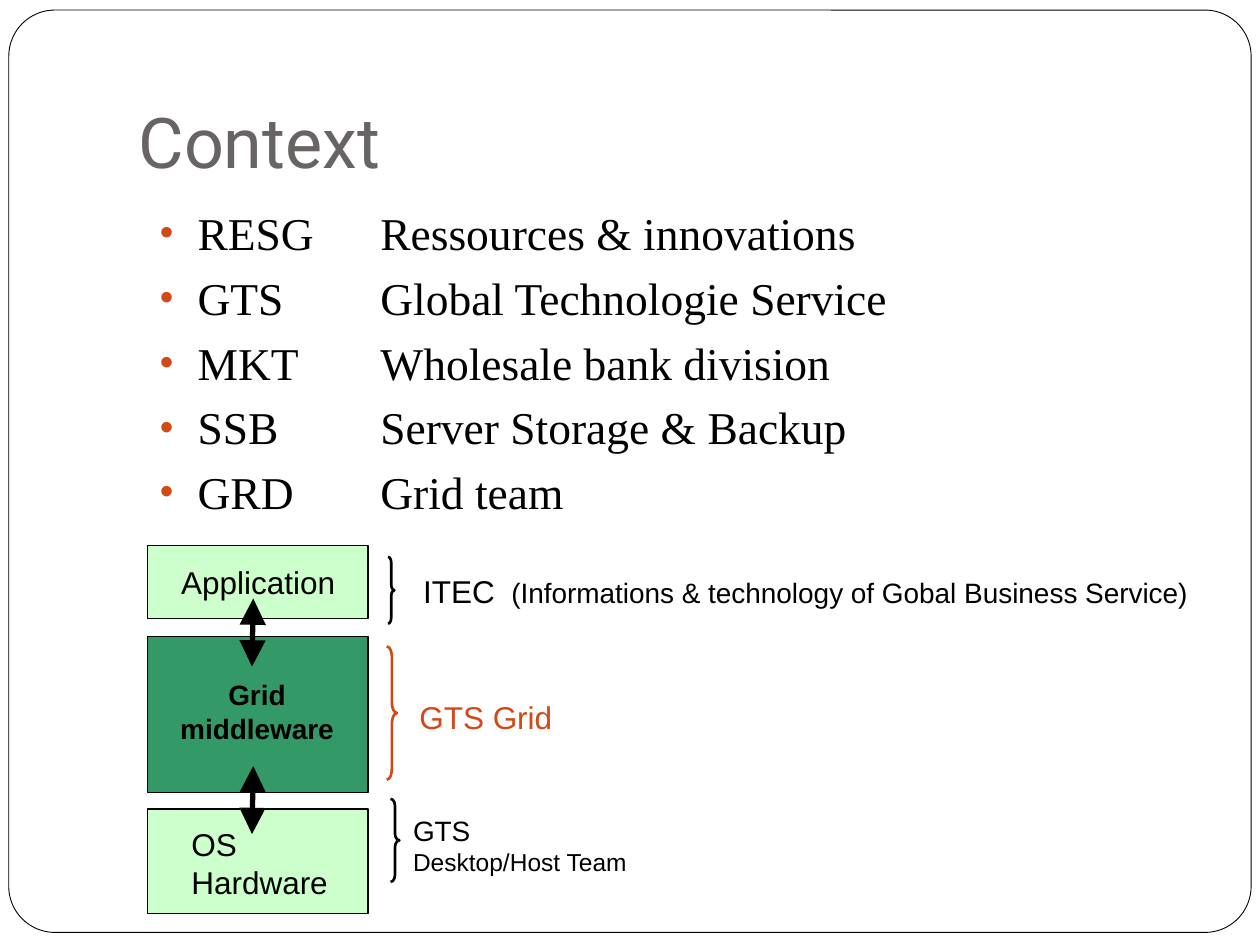
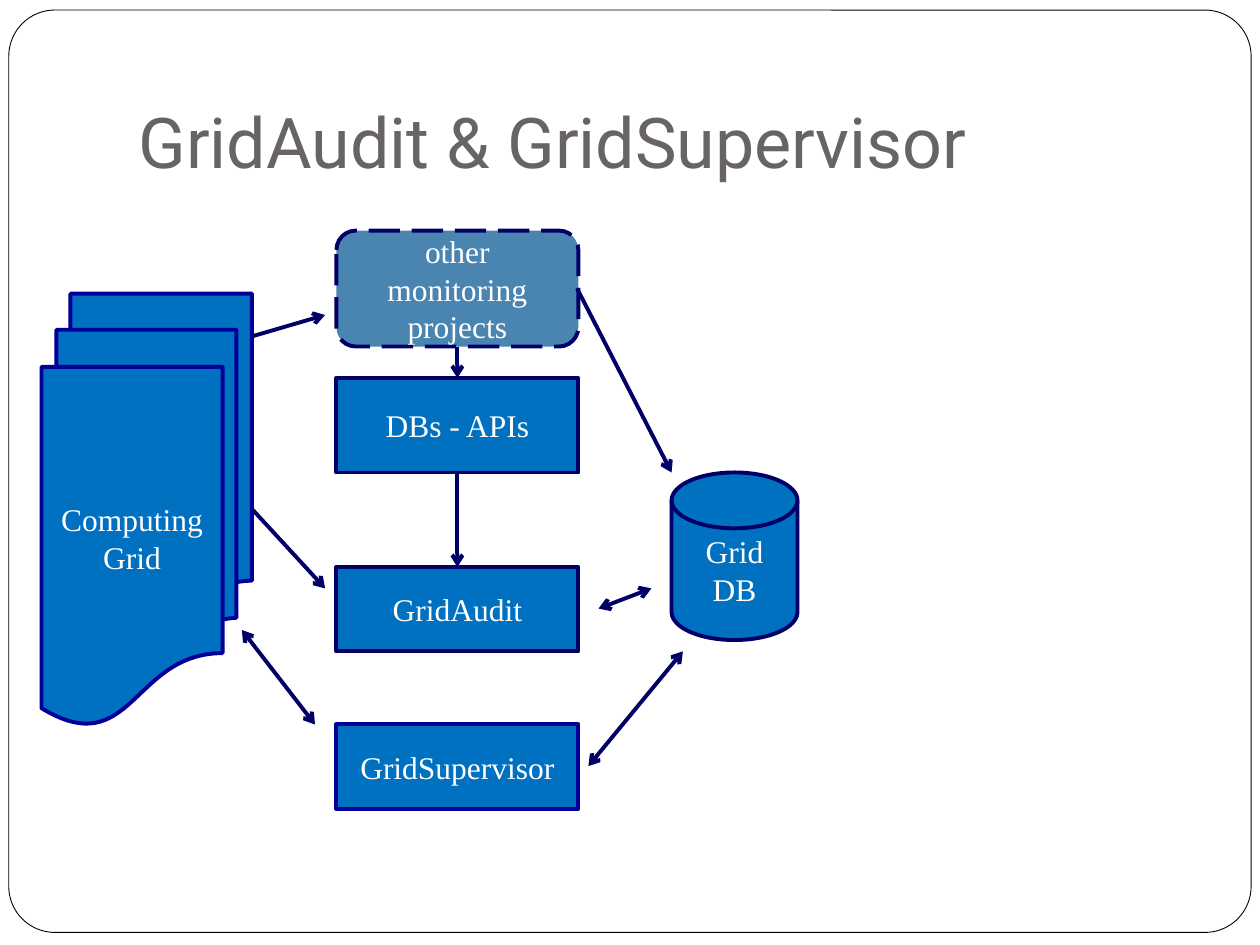
from dataclasses import dataclass

from lxml import etree
from pptx import Presentation
from pptx import util as u
from pptx.dml import color
from pptx.enum import dml, shapes, text
from pptx.oxml import ns

BLACK, WHITE, TITLE_GREY, ORANGE = "000000", "FFFFFF", "696464", "D34817"
PALE_GREEN, GREEN = "CCFFCC", "339966"
BLUE, STEEL, NAVY, INDIGO = "0070C0", "005392", "000066", "000099"
SANS, SERIF, TITLE_FONT = "Arial", "Times New Roman", "Roboto"
SHAPE = shapes.MSO_SHAPE
LEFT, CENTER = text.PP_ALIGN.LEFT, text.PP_ALIGN.CENTER


@dataclass
class Run:
    words: str
    size: float
    font: str = SANS
    colour: str = BLACK
    bold: bool = False


@dataclass
class Area:
    left: float
    top: float
    width: float
    height: float

    def lengths(self) -> list:
        return [u.Inches(n) for n in (self.left, self.top, self.width, self.height)]


@dataclass
class Label:
    area: Area
    lines: list[list[Run]]
    align: int = LEFT
    space_before: float = 0
    bullets: bool = False


@dataclass
class Box:
    kind: int
    area: Area
    fill: str | None
    line: str
    weight: float
    caption: str = ""
    dashed: bool = False
    opacity: int = 100


@dataclass
class Arrow:
    start: tuple[float, float]
    end: tuple[float, float]
    both_ends: bool = False


STACK_BOXES = [
    Box(SHAPE.RECTANGLE, Area(1.17, top, 1.75, height), fill, BLACK, 0.75)
    for top, height, fill in [(4.33, 0.58, PALE_GREEN), (5.05, 1.24, GREEN), (6.42, 0.83, PALE_GREEN)]
]
BRACES = [
    Box(SHAPE.RIGHT_BRACE, Area(*place), None, colour, 1.5)
    for place, colour in [
        ((3.08, 4.42, 0.05, 0.53), BLACK),
        ((3.07, 5.13, 0.08, 1.06), ORANGE),
        ((3.1, 6.34, 0.07, 0.66), BLACK),
    ]
]
TEAMS = {
    "RESG": "Ressources & innovations",
    "GTS": "Global Technologie Service",
    "MKT": "Wholesale bank division",
    "SSB": "Server Storage & Backup",
    "GRD": "Grid team",
}
CONTEXT_LABELS = [
    Label(Area(1.17, 1.58, 1.67, 2.67), [[Run(name, 26, SERIF)] for name in TEAMS],
          space_before=5.8, bullets=True),
    Label(Area(2.92, 1.58, 6.58, 2.67), [[Run(name, 26, SERIF)] for name in TEAMS.values()],
          space_before=5.8),
    Label(Area(1.34, 4.42, 1.5, 0.4), [[Run("Application", 18)]]),
    Label(Area(1.25, 5.33, 1.58, 0.64),
          [[Run(word, 16, bold=True)] for word in ("Grid", "middleware")], CENTER),
    Label(Area(1.42, 6.5, 1.45, 0.7), [[Run("OS", 18)], [Run("Hardware", 18)]]),
    Label(Area(3.26, 4.49, 6.4, 0.4),
          [[Run("ITEC ", 18), Run(" (Informations & technology of Gobal Business Service)", 16)]]),
    Label(Area(3.23, 5.49, 1.59, 0.4), [[Run("GTS Grid", 18, colour=ORANGE)]]),
    Label(Area(3.18, 6.41, 2.1, 0.6), [[Run("GTS", 16)], [Run("Desktop/Host Team", 14)]]),
]
STACK_ARROWS = [Arrow((2, bottom), (2.01, bottom - 0.54), True) for bottom in (5.29, 6.62)]

MONITORING_BOXES = [
    Box(SHAPE.FLOWCHART_MAGNETIC_DISK, Area(5.33, 3.75, 1, 1.33), BLUE, NAVY, 2.25, "Grid DB"),
    Box(SHAPE.FLOWCHART_ALTERNATE_PROCESS, Area(2.67, 1.83, 1.92, 0.92), STEEL, NAVY, 2.25,
        "other monitoring projects", dashed=True, opacity=71),
    *[Box(SHAPE.FLOWCHART_PROCESS, Area(2.67, top, 1.92, height), BLUE, line, 2.25, caption)
      for top, height, line, caption in [
          (3, 0.75, NAVY, "DBs - APIs"),
          (4.5, 0.67, NAVY, "GridAudit"),
          (5.75, 0.67, INDIGO, "GridSupervisor"),
      ]],
    Box(SHAPE.FLOWCHART_MULTIDOCUMENT, Area(0.33, 2.33, 1.67, 3.42), BLUE, INDIGO, 2.25,
        "Computing Grid"),
]
MONITORING_ARROWS = [
    Arrow((2, 2.67), (2.58, 2.5)),
    Arrow((3.63, 2.75), (3.63, 3)),
    Arrow((4.58, 2.29), (5.33, 3.75)),
    Arrow((2, 4.04), (2.58, 4.67)),
    Arrow((2.5, 5.75), (1.92, 5), True),
    Arrow((4.75, 4.83), (5.17, 4.67), True),
    Arrow((4.67, 6.08), (5.42, 5.17), True),
    Arrow((3.63, 3.75), (3.63, 4.5)),
]


def rgb(value: str) -> color.RGBColor:
    """Turn a hex string into a colour."""
    return color.RGBColor.from_string(value)


def add_child(parent, tag: str, **attributes: str):
    """Append a DrawingML element and return it."""
    return etree.SubElement(parent, ns.qn(tag), attributes)


def write(paragraph, runs: list[Run], align: int = LEFT) -> None:
    """Fill a paragraph run by run."""
    paragraph.alignment = align
    for item in runs:
        run = paragraph.add_run()
        run.text = item.words
        run.font.size = u.Pt(item.size)
        run.font.name = item.font
        run.font.bold = item.bold
        run.font.color.rgb = rgb(item.colour)


def add_bullet(paragraph) -> None:
    """Give a paragraph an orange hanging bullet."""
    properties = paragraph._p.get_or_add_pPr()
    properties.set("marL", str(u.Inches(0.3)))
    properties.set("indent", str(u.Inches(-0.3)))
    add_child(add_child(properties, "a:buClr"), "a:srgbClr", val=ORANGE)
    add_child(properties, "a:buSzPct", val="85000")
    add_child(properties, "a:buFont", typeface=SANS)
    add_child(properties, "a:buChar", char="•")


def draw_label(slide, label: Label) -> None:
    """Draw a text box."""
    frame = slide.shapes.add_textbox(*label.area.lengths()).text_frame
    frame.word_wrap = True
    for index, runs in enumerate(label.lines):
        paragraph = frame.add_paragraph() if index else frame.paragraphs[0]
        write(paragraph, runs, label.align)
        paragraph.space_before = u.Pt(label.space_before)
        if label.bullets:
            add_bullet(paragraph)


def draw_box(slide, box: Box):
    """Draw a preset shape with its caption and return it."""
    shape = slide.shapes.add_shape(box.kind, *box.area.lengths())
    shape.shadow.inherit = False
    if box.fill:
        shape.fill.solid()
        shape.fill.fore_color.rgb = rgb(box.fill)
    else:
        shape.fill.background()
    if box.opacity < 100:
        fill = shape.element.xpath("./p:spPr/a:solidFill/a:srgbClr")[0]
        add_child(fill, "a:alpha", val=str(box.opacity * 1000))
    shape.line.color.rgb = rgb(box.line)
    shape.line.width = u.Pt(box.weight)
    if box.dashed:
        shape.line.dash_style = dml.MSO_LINE.LONG_DASH
    if box.kind == SHAPE.RIGHT_BRACE:
        shape.adjustments[0] = 0.083 * box.area.height / box.area.width
    if box.caption:
        shape.text_frame.word_wrap = True
        shape.text_frame.vertical_anchor = text.MSO_ANCHOR.MIDDLE
        write(shape.text_frame.paragraphs[0], [Run(box.caption, 18, SERIF, WHITE)], CENTER)
    return shape


def draw_arrow(slide, arrow: Arrow, colour: str, weight: float, head: str, size: str) -> None:
    """Draw a straight arrow with one or two heads."""
    points = [u.Inches(n) for n in (*arrow.start, *arrow.end)]
    connector = slide.shapes.add_connector(shapes.MSO_CONNECTOR.STRAIGHT, *points)
    connector.line.color.rgb = rgb(colour)
    connector.line.width = u.Pt(weight)
    line = connector.element.spPr.find(ns.qn("a:ln"))
    for end in ("a:headEnd", "a:tailEnd") if arrow.both_ends else ("a:tailEnd",):
        add_child(line, end, type=head, w=size, len=size)
    add_child(connector.element.spPr, "a:effectLst")


def add_slide(presentation, heading: str):
    """Add a slide with a formatted title."""
    slide = presentation.slides.add_slide(presentation.slide_layouts[5])
    title = slide.shapes.title
    title.left, title.top, title.width, title.height = Area(1, 0.3, 8.5, 1.25).lengths()
    frame = title.text_frame
    frame.auto_size = text.MSO_AUTO_SIZE.NONE
    frame.vertical_anchor = text.MSO_ANCHOR.BOTTOM
    frame.margin_bottom = u.Inches(0.1)
    write(frame.paragraphs[0], [Run(heading, 40, TITLE_FONT, TITLE_GREY)])
    return slide


def add_master_frame(presentation, slide) -> None:
    """Put the rounded page frame on the slide master."""
    frame = draw_box(slide, Box(SHAPE.ROUNDED_RECTANGLE, Area(0.07, 0.08, 9.86, 7.32), WHITE, BLACK, 0.5))
    frame.adjustments[0] = 0.05
    frame.element.nvSpPr.cNvPr.set("id", "99")
    presentation.slide_master.shapes.element.insert(2, frame.element)


def main() -> None:
    """Build both slides and save them."""
    presentation = Presentation()
    presentation.slide_width, presentation.slide_height = u.Inches(10), u.Inches(7.5)

    context = add_slide(presentation, "Context")
    add_master_frame(presentation, context)
    for box in STACK_BOXES + BRACES:
        draw_box(context, box)
    for label in CONTEXT_LABELS:
        draw_label(context, label)
    for arrow in STACK_ARROWS:
        draw_arrow(context, arrow, BLACK, 3, "triangle", "lg")

    monitoring = add_slide(presentation, "GridAudit & GridSupervisor")
    for box in MONITORING_BOXES:
        draw_box(monitoring, box)
    for arrow in MONITORING_ARROWS:
        draw_arrow(monitoring, arrow, NAVY, 2.25, "arrow", "med")

    presentation.save("out.pptx")


if __name__ == "__main__":
    main()
